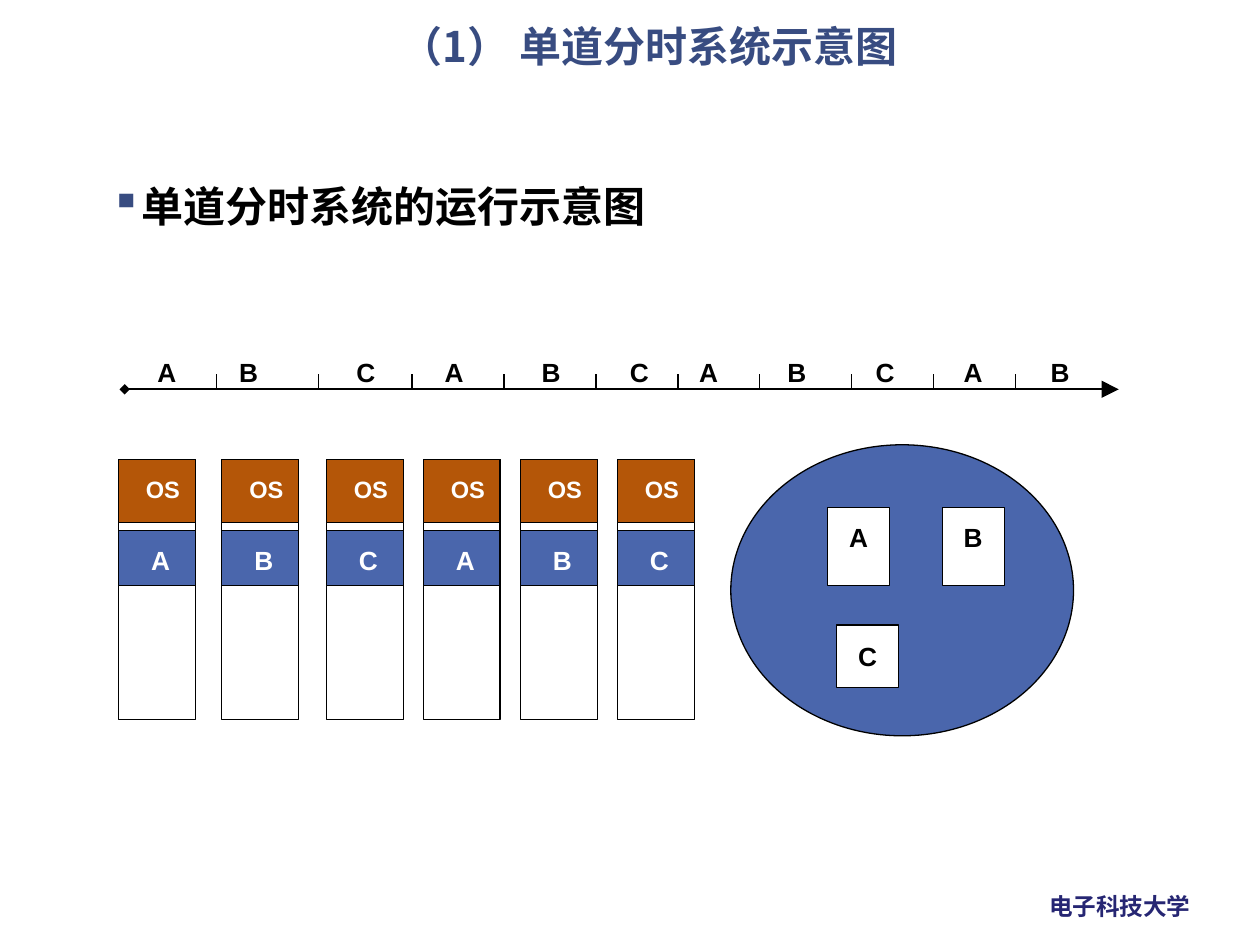
from dataclasses import dataclass
from itertools import cycle

from lxml import etree
from pptx import Presentation
from pptx import util as u
from pptx.dml.color import RGBColor
from pptx.enum import shapes, text
from pptx.oxml import ns


@dataclass(frozen=True)
class Theme:
    latin: str = "Arial"
    chinese: str = "Noto Sans CJK SC"
    black: str = "000000"
    white: str = "FFFFFF"
    navy: str = "384C81"
    footer: str = "262673"
    blue: str = "4A66AC"
    orange: str = "B45608"
    heading_size: float = 24
    job_size: float = 15
    small_size: float = 13.5
    line: float = 0.75
    axis_line: float = 1


THEME = Theme()
JOBS = "ABC"

# Time axis
AXIS_Y = 3.09
TICKS = [1.72, 2.53, 3.27, 4, 4.73, 5.38, 6.03, 6.76, 7.41, 8.06]
SLICE_LABELS = [1.15, 1.8, 2.73, 3.43, 4.2, 4.9, 5.45, 6.15, 6.85, 7.55, 8.24]

# Memory columns
COLUMNS = [0.94, 1.76, 2.59, 3.36, 4.13, 4.9]
COLUMN_TOP, COLUMN_WIDTH = 3.65, 0.61


def add_xml(parent, tag, **attributes):
    return etree.SubElement(parent, ns.qn(tag), **attributes)


def style_text(frame, size, color, font=THEME.latin):
    for para in frame.paragraphs:
        for span in para.runs:
            span.font.size = u.Pt(size)
            span.font.bold = True
            span.font.color.rgb = RGBColor.from_string(color)
            span.font.name = font
            add_xml(span.font._element, "a:ea", typeface=font)


def set_top_inset(frame, inset):
    frame.margin_top = u.Inches(inset)
    frame.vertical_anchor = text.MSO_ANCHOR.TOP


def add_label(page, words, left, top, width, height, size, color, font=THEME.latin):
    box = page.shapes.add_textbox(*map(u.Inches, (left, top, width, height)))
    frame = box.text_frame
    frame.text = words
    frame.word_wrap = True
    frame.margin_right = 0
    style_text(frame, size, color, font)
    return frame


def add_job(page, job, left, top, color=THEME.black):
    add_label(page, job, left, top, 0.35, 0.35, THEME.job_size, color)


def add_block(page, left, top, width, height, fill,
              kind=shapes.MSO_SHAPE.RECTANGLE):
    block = page.shapes.add_shape(kind, *map(u.Inches, (left, top, width, height)))
    block.shadow.inherit = False
    block.fill.solid()
    block.fill.fore_color.rgb = RGBColor.from_string(fill)
    block.line.color.rgb = RGBColor.from_string(THEME.black)
    block.line.width = u.Pt(THEME.line)
    return block


def add_line(page, x1, y1, x2, y2, width=THEME.line):
    line = page.shapes.add_connector(
        shapes.MSO_CONNECTOR.STRAIGHT, *map(u.Inches, (x1, y1, x2, y2)))
    line.line.color.rgb = RGBColor.from_string(THEME.black)
    line.line.width = u.Pt(width)
    add_xml(line._element.spPr, "a:effectLst")
    return line


def add_title(page, words):
    title = page.shapes.title
    title.left, title.top, title.width, title.height = map(
        u.Inches, (1.22, 0.21, 7.86, 0.6))
    frame = title.text_frame
    frame.text = words
    set_top_inset(frame, 0)
    para = frame.paragraphs[0]
    para.alignment = text.PP_ALIGN.CENTER
    para.line_spacing = 0.9
    style_text(frame, THEME.heading_size, THEME.navy, THEME.chinese)


def add_bullet(page, words):
    frame = add_label(page, words, 0.78, 1.43, 8.83, 5.64,
                      THEME.heading_size, THEME.black, THEME.chinese)
    set_top_inset(frame, 0)
    properties = frame.paragraphs[0]._p.get_or_add_pPr()
    indent = u.Inches(0.19)
    properties.set("marL", str(indent))
    properties.set("indent", str(-indent))
    add_xml(add_xml(properties, "a:buClr"), "a:srgbClr", val=THEME.navy)
    add_xml(properties, "a:buChar", char="▪")


def add_job_pool(page):
    add_block(page, 5.8, 3.53, 2.72, 2.31, THEME.blue, shapes.MSO_SHAPE.OVAL)
    for job, left in (("A", 6.57), ("B", 7.48)):
        add_block(page, left, 4.03, 0.49, 0.62, THEME.white)
        add_job(page, job, left + 0.07, 4.09)
    card = add_block(page, 6.64, 4.96, 0.49, 0.5, THEME.white)
    frame = card.text_frame
    frame.text = "C"
    frame.word_wrap = False
    frame.vertical_anchor = text.MSO_ANCHOR.MIDDLE
    frame.paragraphs[0].alignment = text.PP_ALIGN.CENTER
    style_text(frame, THEME.job_size, THEME.black)


def add_memory_column(page, left, job):
    add_block(page, left, COLUMN_TOP, COLUMN_WIDTH, 2.06, THEME.white)
    add_block(page, left, COLUMN_TOP, COLUMN_WIDTH, 0.5, THEME.orange)
    add_label(page, "OS", left + 0.12, 3.72, 0.49, 0.33,
              THEME.small_size, THEME.white)
    add_block(page, left, 4.21, COLUMN_WIDTH, 0.44, THEME.blue)
    add_job(page, job, left + 0.16, 4.27, THEME.white)


def add_time_axis(page):
    axis = add_line(page, 0.99, AXIS_Y, 8.88, AXIS_Y, THEME.axis_line)
    outline = axis.line._get_or_add_ln()
    add_xml(outline, "a:headEnd", type="diamond")
    add_xml(outline, "a:tailEnd", type="triangle", w="lg", len="lg")
    for x in TICKS:
        add_line(page, x, AXIS_Y - 0.12, x, AXIS_Y)
    for left, job in zip(SLICE_LABELS, cycle(JOBS)):
        add_job(page, job, left, 2.78)


def main():
    deck = Presentation()
    deck.slide_width, deck.slide_height = u.Inches(10), u.Inches(7.5)
    page = deck.slides.add_slide(deck.slide_layouts.get_by_name("Title Only"))

    # Headings and footer
    add_title(page, "（1） 单道分时系统示意图")
    add_bullet(page, "单道分时系统的运行示意图")
    footer = add_label(page, "电子科技大学", 8.23, 7.05, 1.34, 0.33,
                       THEME.small_size, THEME.footer, THEME.chinese)
    set_top_inset(footer, 0.03)

    # Diagram
    add_job_pool(page)
    for left, job in zip(COLUMNS, cycle(JOBS)):
        add_memory_column(page, left, job)
    add_time_axis(page)

    deck.save("out.pptx")


if __name__ == "__main__":
    main()
